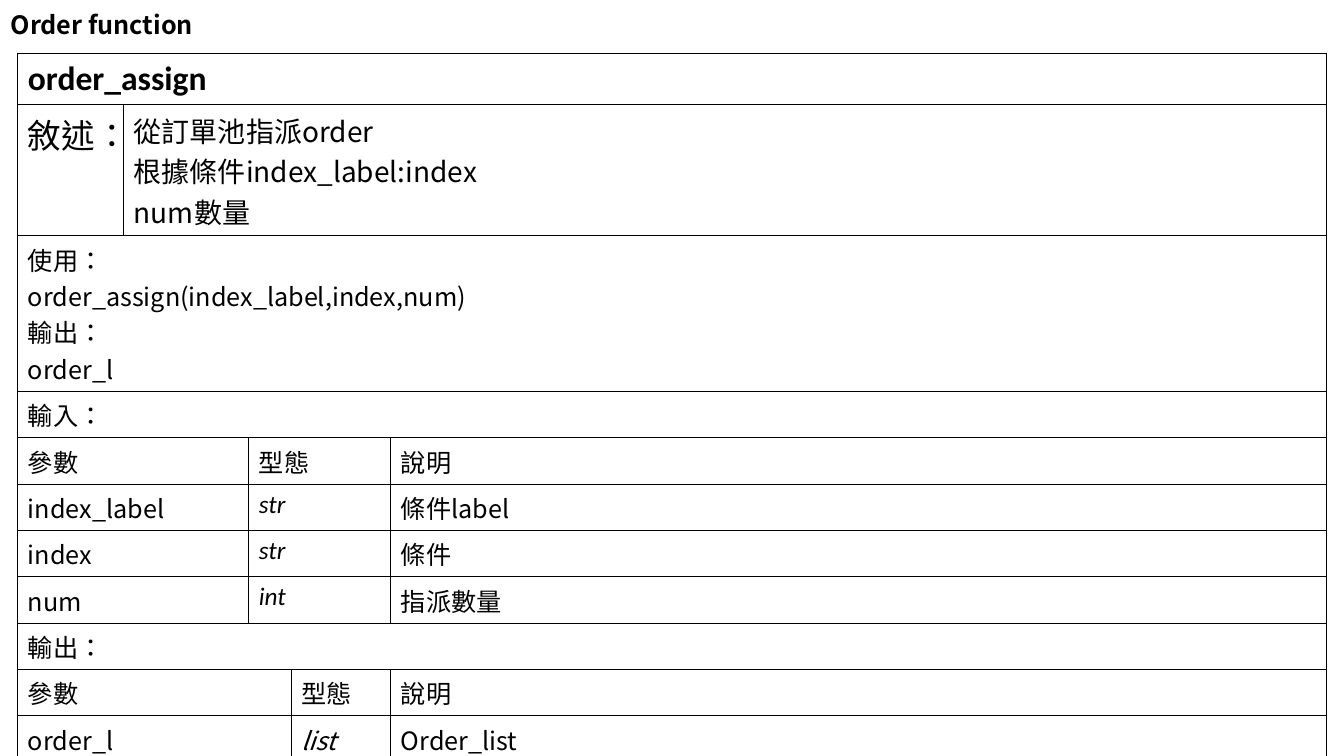
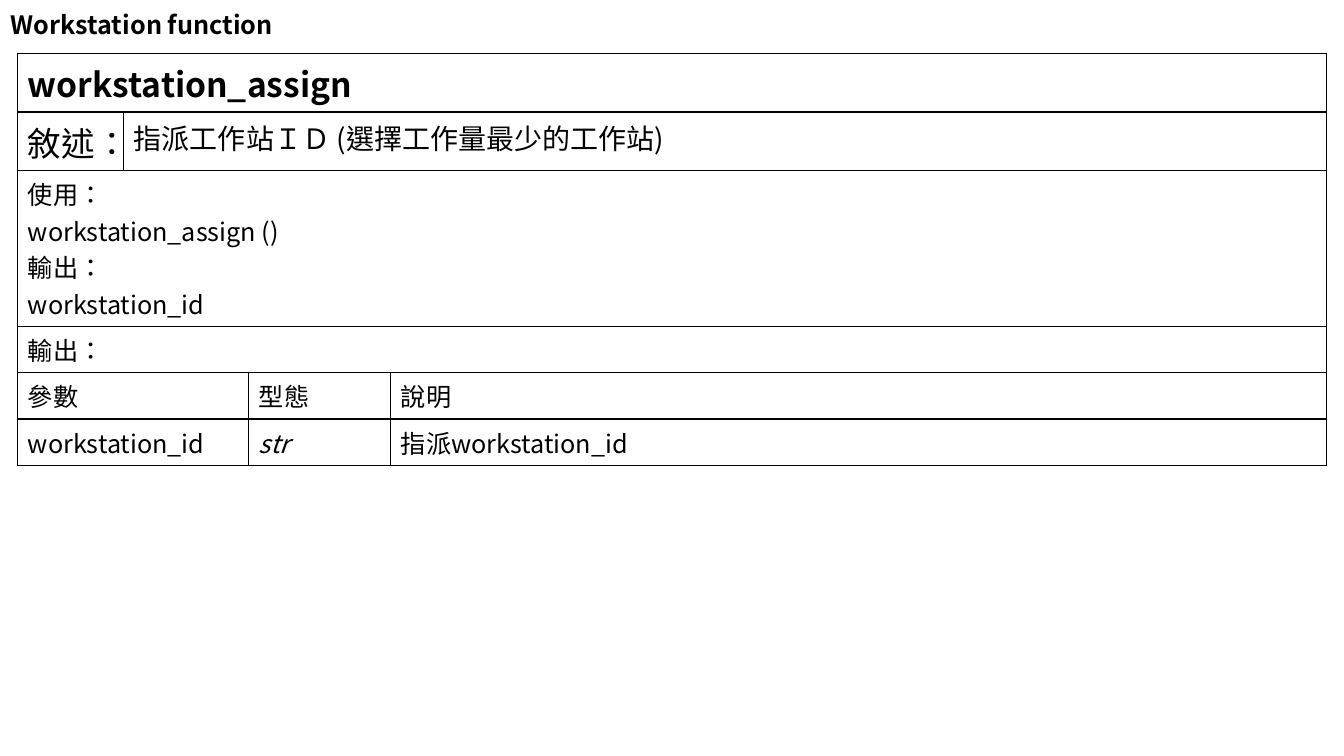
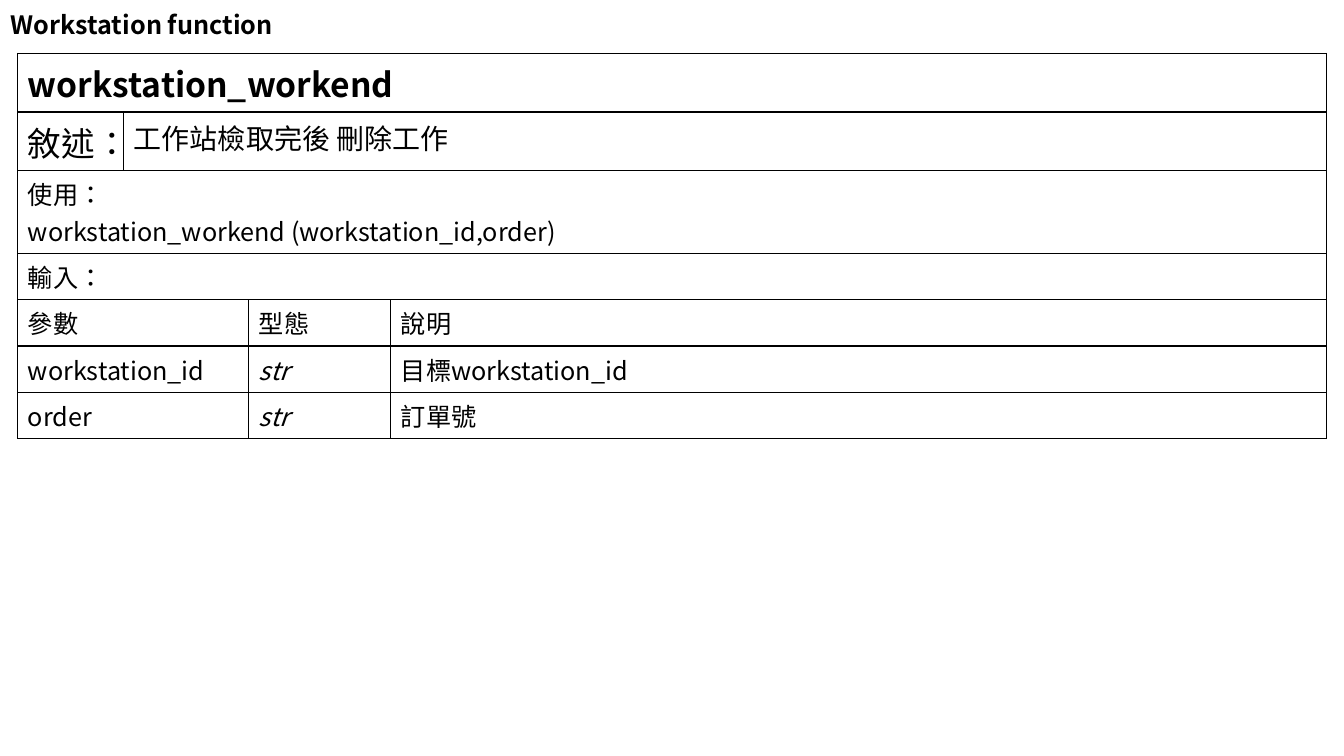
from lxml import etree
from pptx import Presentation
from pptx.dml.color import RGBColor
from pptx.enum.text import MSO_ANCHOR
from pptx.oxml.ns import qn
from pptx.util import Cm, Pt

MIDDLE = MSO_ANCHOR.MIDDLE
BLACK, WHITE = "000000", "FFFFFF"
SANS, CALIBRI = "Noto Sans CJK TC", "Calibri"
LINE_CM_PER_POINT = {SANS: 0.051, CALIBRI: 0.043}
CELL_MARGINS = 0.25
HEADINGS = ("參數", "型態", "說明")

# Each section: heading, start column of its three cells, font of the type, rows
FUNCTIONS = [
    {
        "title": "Order function", "title_width": 5.49,
        "name": "order_assign", "name_font": CALIBRI,
        "columns": [2.67, 3.15, 1.07, 2.51, 23.57],
        "description": ["從訂單池指派order", "根據條件index_label:index", "num數量"],
        "usage": ["使用：", "order_assign(index_label,index,num)", "輸出：", "order_l"],
        "sections": [
            ("輸入：", (0, 2, 4), CALIBRI, [
                ("index_label", "str", "條件label"),
                ("index", "str", "條件"),
                ("num", "int", "指派數量"),
            ]),
            ("輸出：", (0, 3, 4), SANS, [("order_l", "list", "Order_list")]),
        ],
    },
    {
        "title": "Workstation function", "title_width": 7.16,
        "name": "workstation_assign", "name_font": SANS,
        "columns": [2.67, 3.15, 3.58, 23.57],
        "description": ["指派工作站ＩＤ (選擇工作量最少的工作站)"],
        "usage": ["使用：", "workstation_assign ()", "輸出：", "workstation_id"],
        "sections": [
            ("輸出：", (0, 2, 3), SANS, [("workstation_id", "str", "指派workstation_id")]),
        ],
    },
    {
        "title": "Workstation function", "title_width": 7.16,
        "name": "workstation_workend", "name_font": SANS,
        "columns": [2.67, 3.15, 3.58, 23.57],
        "description": ["工作站檢取完後 刪除工作"],
        "usage": ["使用：", "workstation_workend (workstation_id,order)"],
        "sections": [
            ("輸入：", (0, 2, 3), SANS, [
                ("workstation_id", "str", "目標workstation_id"),
                ("order", "str", "訂單號"),
            ]),
        ],
    },
]


def color(hex_string):
    return RGBColor.from_string(hex_string)


def write(text_frame, lines, size=18, name=SANS, bold=False, italic=False):
    """Fill a text frame, one paragraph a line, in one font for all scripts."""
    text_frame.text = "\n".join(lines)
    for paragraph in text_frame.paragraphs:
        font = paragraph.font
        font.size, font.name, font.bold, font.italic = Pt(size), name, bold, italic
        font.color.rgb = color(BLACK)
        default_properties = paragraph._p.pPr.find(qn("a:defRPr"))
        etree.SubElement(default_properties, qn("a:ea"), typeface=name)
        for run in paragraph.runs:
            run._r.get_or_add_rPr().set("lang", "zh-TW")


presentation = Presentation()
presentation.slide_width, presentation.slide_height = Cm(33.87), Cm(19.05)

for function in FUNCTIONS:
    slide = presentation.slides.add_slide(presentation.slide_layouts[6])

    title = slide.shapes.add_textbox(Cm(0.02), Cm(0.07), Cm(function["title_width"]), Cm(1.19))
    title.text_frame.word_wrap = True
    title.text_frame.vertical_anchor = MIDDLE
    write(title.text_frame, [function["title"]], bold=True)
    title.text_frame.paragraphs[0].line_spacing = 0.9

    # Each row is a list of cells: start column, lines, font settings
    rows = [
        [(0, [function["name"]], {"size": 24, "name": function["name_font"], "bold": True})],
        [(0, ["敘述："], {"size": 24}), (1, function["description"], {"size": 20})],
        [(0, function["usage"], {})],
    ]
    for heading, starts, type_font, parameters in function["sections"]:
        rows.append([(0, [heading], {})])
        rows.append([(start, [text], {}) for start, text in zip(starts, HEADINGS)])
        styles = ({}, {"name": type_font, "italic": True}, {})
        for parameter in parameters:
            rows.append([(start, [text], style)
                         for start, text, style in zip(starts, parameter, styles)])

    heights = [
        CELL_MARGINS + max(
            len(lines) * style.get("size", 18) * LINE_CM_PER_POINT[style.get("name", SANS)]
            for _, lines, style in row)
        for row in rows
    ]
    columns = function["columns"]
    table = slide.shapes.add_table(
        len(rows), len(columns), Cm(0.45), Cm(1.35),
        Cm(sum(columns)), Cm(sum(heights))).table
    table.first_row = table.horz_banding = False
    for column, width in zip(table.columns, columns):
        column.width = Cm(width)
    for table_row, height in zip(table.rows, heights):
        table_row.height = Cm(height)

    for cell in table.iter_cells():
        properties = cell._tc.get_or_add_tcPr()
        for side in ("a:lnL", "a:lnR", "a:lnT", "a:lnB"):
            border = etree.SubElement(properties, qn(side), w=str(Pt(1)))
            fill = etree.SubElement(border, qn("a:solidFill"))
            etree.SubElement(fill, qn("a:srgbClr"), val=BLACK)
        cell.fill.solid()
        cell.fill.fore_color.rgb = color(WHITE)

    for row_index, row in enumerate(rows):
        ends = [start for start, _, _ in row[1:]] + [len(columns)]
        for (start, lines, style), end in zip(row, ends):
            cell = table.cell(row_index, start)
            if end - start > 1:
                cell.merge(table.cell(row_index, end - 1))
            write(cell.text_frame, lines, **style)

presentation.save("out.pptx")
